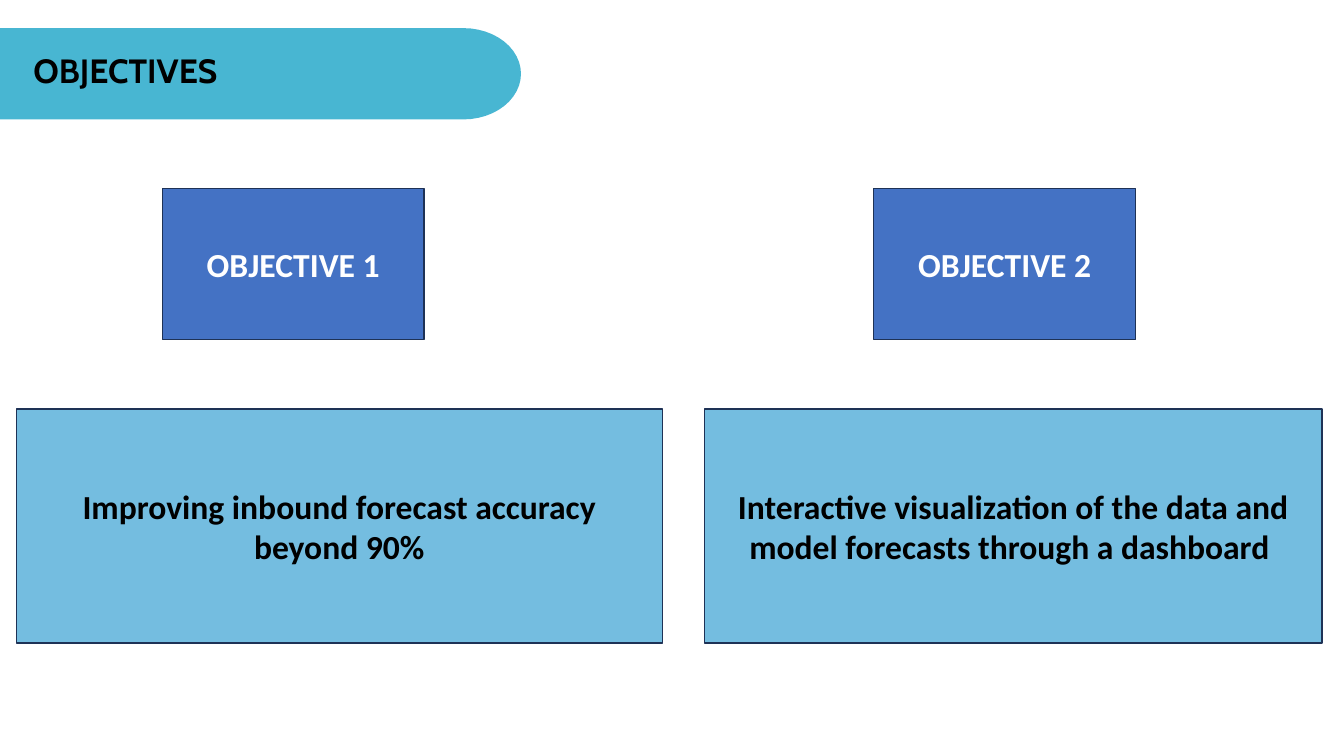
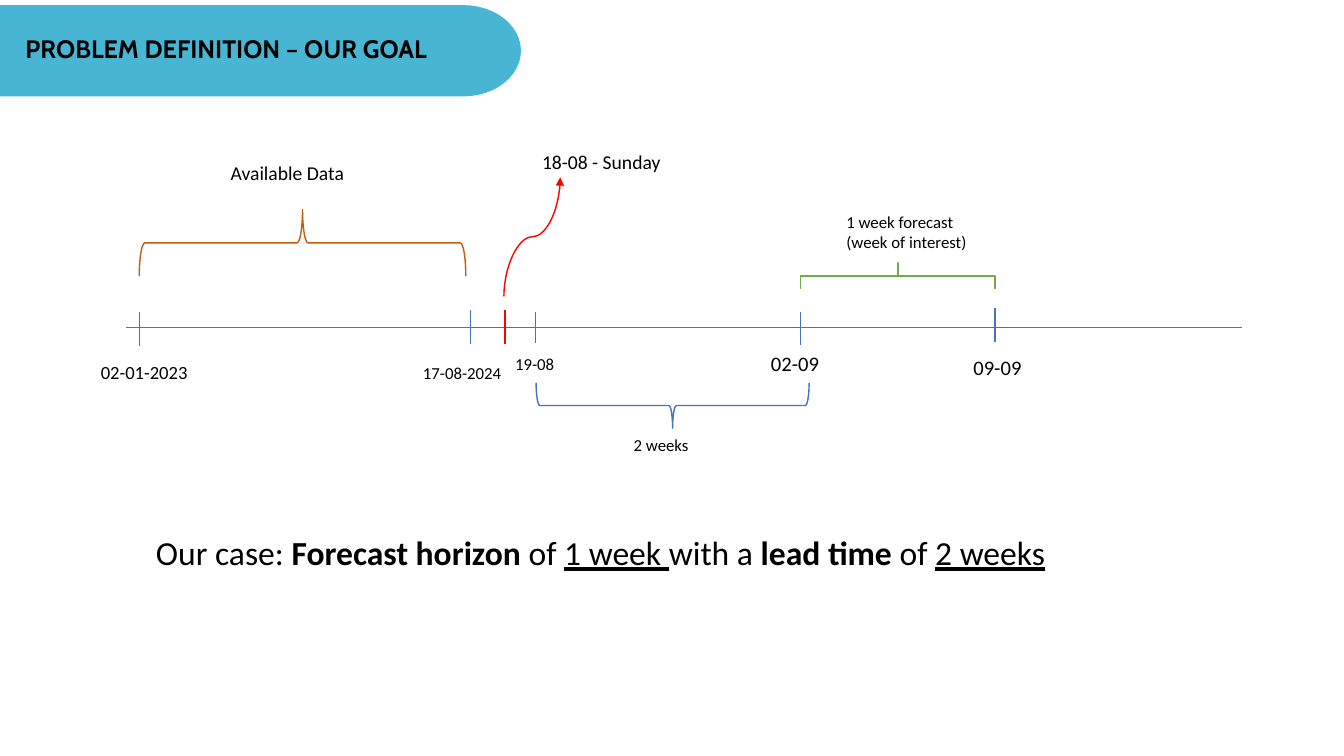
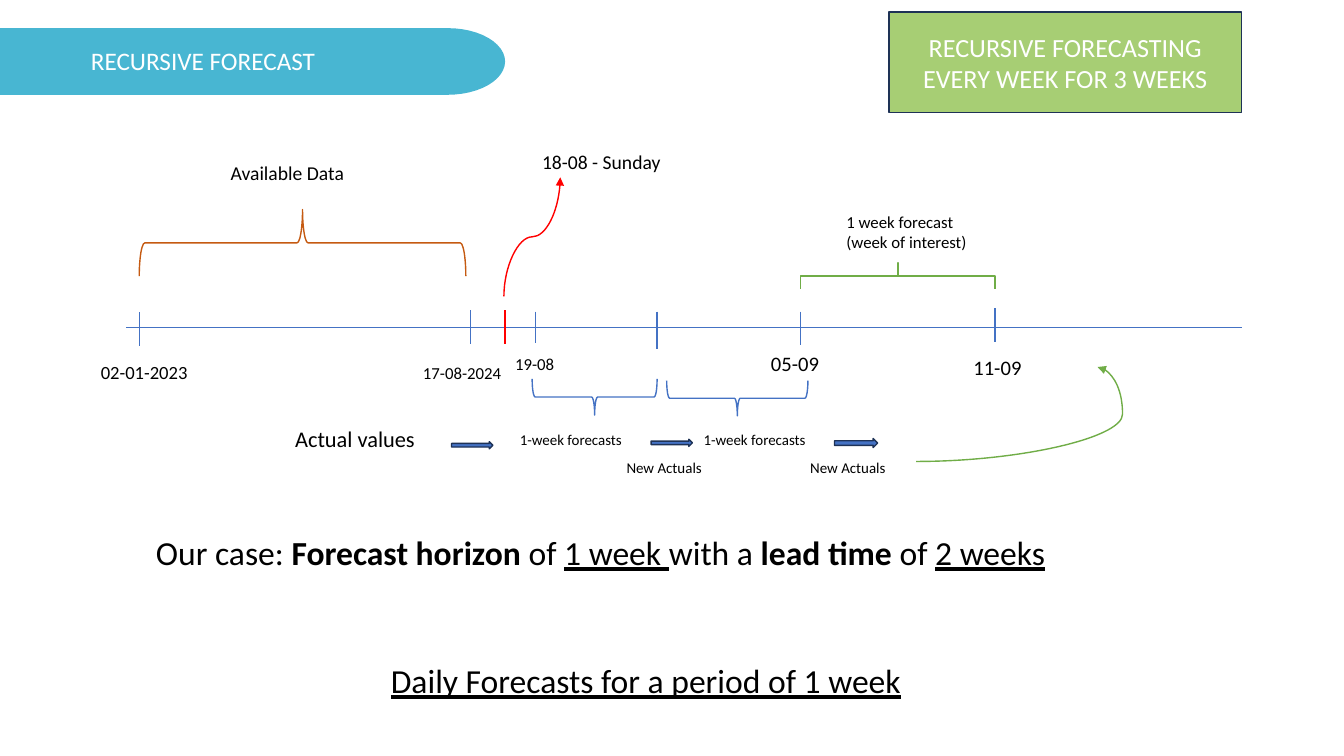
"""Build three slides on forecast objectives, goal and recursive forecasting."""
import math

import lxml.etree
import pptx
import pptx.dml.color
import pptx.enum.shapes
import pptx.enum.text
import pptx.oxml.ns
import pptx.util

Cm = pptx.util.Cm
Pt = pptx.util.Pt
qn = pptx.oxml.ns.qn
SHAPE = pptx.enum.shapes.MSO_SHAPE
CONNECTOR = pptx.enum.shapes.MSO_CONNECTOR
ALIGN = pptx.enum.text.PP_ALIGN
ANCHOR = pptx.enum.text.MSO_ANCHOR
AUTO_SIZE = pptx.enum.text.MSO_AUTO_SIZE

TEAL, BLUE, SKY, NAVY = "48B6D2", "4472C4", "74BDE0", "1E3256"
RED, GREEN, LIME, ORANGE = "FF0000", "70AD47", "A7CE74", "C55A11"
BLACK, WHITE = "000000", "FFFFFF"
BOLD, UNDERLINED = {"bold": True}, {"underline": True}


def paint(fill, color):
    fill.solid()
    fill.fore_color.rgb = pptx.dml.color.RGBColor.from_string(color)


def set_values(target, values):
    for key, value in values.items():
        setattr(target, key, value)


class Deck:
    """Hold the shared style and the slide being drawn."""

    font_name = "Calibri"
    line_width = Pt(1)
    curve_end = 1.45
    arc_steps = 24

    def __init__(self):
        self.presentation = pptx.Presentation()
        set_values(self.presentation, {"slide_width": Cm(33.87), "slide_height": Cm(19.05)})
        self.slide = None

    def fill_text(self, frame, paragraphs, size, color=BLACK, align=ALIGN.LEFT, **font):
        for index, runs in enumerate(paragraphs):
            paragraph = frame.add_paragraph() if index else frame.paragraphs[0]
            paragraph.alignment = align
            for words, emphasis in runs:
                run = paragraph.add_run()
                run.text = words
                style = {"name": self.font_name, "size": Pt(size), **font, **emphasis}
                set_values(run.font, style)
                paint(run.font.fill, color)

    def add_slide(self, title, band, place, size, **font):
        layout = self.presentation.slide_layouts[5]
        self.slide = self.presentation.slides.add_slide(layout)
        self.title_band(*band)
        heading = self.slide.shapes.title
        set_values(heading, dict(zip(("left", "top", "width", "height"), map(Cm, place))))
        set_values(heading.text_frame, {
            "margin_left": 0, "margin_right": 0, "margin_top": Cm(0.03),
            "margin_bottom": 0, "vertical_anchor": ANCHOR.TOP,
            "word_wrap": True, "auto_size": AUTO_SIZE.SHAPE_TO_FIT_TEXT})
        self.fill_text(heading.text_frame, [[(title, {})]], size, **font)

    def title_band(self, top, width, height):
        straight, radius = width - self.curve_end, height / 2
        angles = [math.pi * step / self.arc_steps for step in range(self.arc_steps + 1)]
        arc = [(Cm(straight + self.curve_end * math.sin(angle)),
                Cm(top + radius - radius * math.cos(angle))) for angle in angles]
        builder = self.slide.shapes.build_freeform(0, Cm(top))
        builder.add_line_segments(arc + [(0, Cm(top + height))])
        band = builder.convert_to_shape()
        self.finish(band, TEAL, None)
        self.slide.shapes.element.insert(2, band.element)

    def finish(self, shape, fill, line):
        shape.shadow.inherit = False
        shape.line.width = self.line_width
        for part, color in ((shape.fill, fill), (shape.line.fill, line)):
            if color:
                paint(part, color)
            else:
                part.background()

    def shape(self, kind, place, fill=None, line=NAVY):
        shape = self.slide.shapes.add_shape(kind, *map(Cm, place))
        self.finish(shape, fill, line)
        return shape

    def box(self, words, place, fill, size=24, color=WHITE, margins=(0.25, 0.13), **font):
        frame = self.shape(SHAPE.RECTANGLE, place, fill).text_frame
        side, edge = map(Cm, margins)
        set_values(frame, {"word_wrap": True, "vertical_anchor": ANCHOR.MIDDLE,
                           "margin_left": side, "margin_right": side,
                           "margin_top": edge, "margin_bottom": edge})
        self.fill_text(frame, [[(words, {})]], size, color, ALIGN.CENTER, **font)

    def brace(self, left, top, width, height, color, rotation, curl=None):
        place = (left + (width - height) / 2, top + (height - width) / 2, height, width)
        brace = self.shape(SHAPE.RIGHT_BRACE, place, line=color)
        brace.rotation = rotation
        if curl is not None:
            brace.adjustments[0] = curl

    def text(self, paragraphs, left, top, width, height, size, wrap=True, **font):
        frame = self.slide.shapes.add_textbox(*map(Cm, (left, top, width, height))).text_frame
        set_values(frame, {"word_wrap": wrap, "auto_size": AUTO_SIZE.SHAPE_TO_FIT_TEXT})
        if isinstance(paragraphs, str):
            paragraphs = [[(words, {})] for words in paragraphs.split("\n")]
        self.fill_text(frame, paragraphs, size, **font)

    def line(self, start, end, color=BLUE, kind=CONNECTOR.STRAIGHT):
        line = self.slide.shapes.add_connector(kind, *map(Cm, start + end))
        line.line.width = self.line_width
        paint(line.line.fill, color)
        lxml.etree.SubElement(line.element.spPr, qn("a:effectLst"))
        return line

    def curved_arrow(self, start, end, color, rotation=0, bend=50000):
        properties = self.line(start, end, color, CONNECTOR.CURVE).element.spPr
        properties.find(qn("a:xfrm")).set("rot", str(rotation * 60000))
        lxml.etree.SubElement(properties.find(qn("a:ln")), qn("a:tailEnd"), type="triangle")
        adjustments = properties.find(qn("a:prstGeom")).find(qn("a:avLst"))
        lxml.etree.SubElement(adjustments, qn("a:gd"), name="adj1", fmla=f"val {bend}")

    def tick(self, x, top, bottom, color=BLUE):
        self.line((x, top), (x, bottom), color)

    def timeline(self, week_start, week_end):
        self.line((3.18, 8.26), (31.29, 8.26))
        for tick in ((3.51, 7.87, 8.71), (11.86, 7.82, 8.66), (12.73, 7.82, 8.66, RED),
                     (13.49, 7.85, 8.64), (20.17, 7.85, 8.69), (25.07, 7.77, 8.61)):
            self.tick(*tick)
        self.brace(3.51, 5.28, 8.23, 1.68, ORANGE, 270)
        self.brace(20.18, 6.62, 4.9, 0.66, GREEN, 270, curl=0)
        self.curved_arrow((14.91, 6.68), (11.91, 5.26), RED, rotation=90)
        for label in (
                ("02-01-2023", 2.29, 8.97, 3.38, 0.84, 13.3),
                ("17-08-2024", 10.41, 9.02, 3.38, 0.76, 12),
                ("19-08", 12.73, 8.79, 2.11, 0.76, 12),
                (week_start, 19.18, 8.71, 3.38, 0.89, 14.7),
                (week_end, 24.28, 8.81, 3.38, 0.89, 14.7),
                ("18-08 - Sunday", 13.41, 3.66, 3.53, 0.86, 14, False),
                ("Available Data", 5.56, 3.94, 3.4, 0.86, 14, False),
                ("1 week forecast\n(week of interest)", 21.08, 5.21, 3.99, 1.27, 12)):
            self.text(*label)
        case = [("Our case: ", {}), ("Forecast horizon", BOLD), (" of ", {}),
                ("1 week ", UNDERLINED), ("with a ", {}), ("lead time ", BOLD),
                ("of ", {}), ("2 weeks", UNDERLINED)]
        self.text([case], 3.68, 13.28, 24.89, 1.27, 24)


def objectives(deck):
    deck.add_slide("OBJECTIVES", (0.71, 13.13, 2.3), (0.84, 1.22, 11.89, 1.04), 24,
                   name="Cabin", bold=True)
    goals = (
        (4.09, 0.41, 16.28, "Improving inbound forecast accuracy beyond 90%"),
        (22.02, 17.75, 15.57,
         "Interactive visualization of the data and model forecasts through a dashboard "))
    for number, (label_left, goal_left, goal_width, goal) in enumerate(goals, 1):
        deck.box(f"OBJECTIVE {number}", (label_left, 4.75, 6.6, 3.81), BLUE, bold=True)
        deck.box(goal, (goal_left, 10.31, goal_width, 5.89), SKY, color=BLACK,
                 margins=(0.33, 0.18), bold=True)


def problem_definition(deck):
    deck.add_slide("PROBLEM DEFINITION – OUR GOAL", (0.13, 13.13, 2.3),
                   (0.64, 0.81, 11.89, 0.79), 18, name="Cabin", bold=True)
    deck.timeline("02-09", "09-09")
    deck.brace(13.51, 9.65, 6.88, 1.14, BLUE, 90)
    deck.text("2 weeks", 15.72, 10.82, 4.06, 0.76, 12)


def recursive_forecast(deck):
    deck.add_slide("RECURSIVE FORECAST", (0.71, 12.73, 1.68), (2.29, 1.12, 8.69, 0.79), 18,
                   color=WHITE, bold=False)
    deck.timeline("05-09", "11-09")
    deck.tick(16.56, 7.85, 8.79)
    deck.brace(13.41, 9.55, 3.15, 0.91, BLUE, 90)
    deck.brace(16.8, 9.59, 3.56, 0.89, BLUE, 90)
    for step in ((11.38, 11.13, 1.04, 0.18), (16.41, 11.07, 1.04, 0.18),
                 (21.03, 11.05, 1.09, 0.23)):
        deck.shape(SHAPE.RIGHT_ARROW, step, BLUE)
    deck.text("Actual values", 7.19, 10.59, 4.29, 0.94, 16)
    for forecast_left, actuals_left in ((12.85, 15.54), (17.48, 20.17)):
        deck.text("1-week forecasts", forecast_left, 10.73, 3.6, 0.71, 10.7)
        deck.text("New Actuals", actuals_left, 11.43, 2.79, 0.71, 10.7)
    deck.curved_arrow((23.09, 11.63), (27.66, 9.25), GREEN, bend=113800)
    deck.box("RECURSIVE FORECASTING EVERY WEEK FOR 3 WEEKS", (22.4, 0.3, 8.89, 2.54),
             LIME, size=18.7)
    deck.text("Daily Forecasts for a period of 1 week", 9.6, 16.51, 13.49, 1.27, 24,
              wrap=False, underline=True)


def main():
    deck = Deck()
    for build in (objectives, problem_definition, recursive_forecast):
        build(deck)
    deck.presentation.save("out.pptx")


if __name__ == "__main__":
    main()
